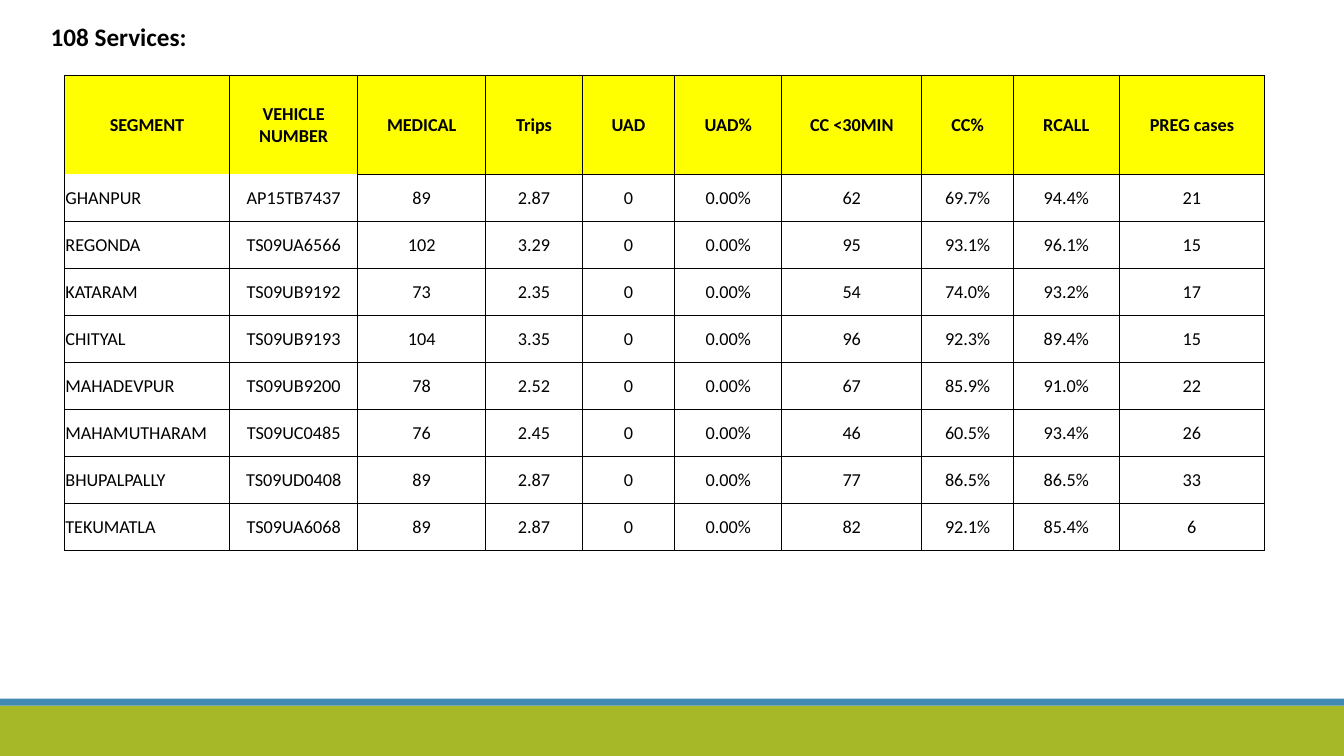
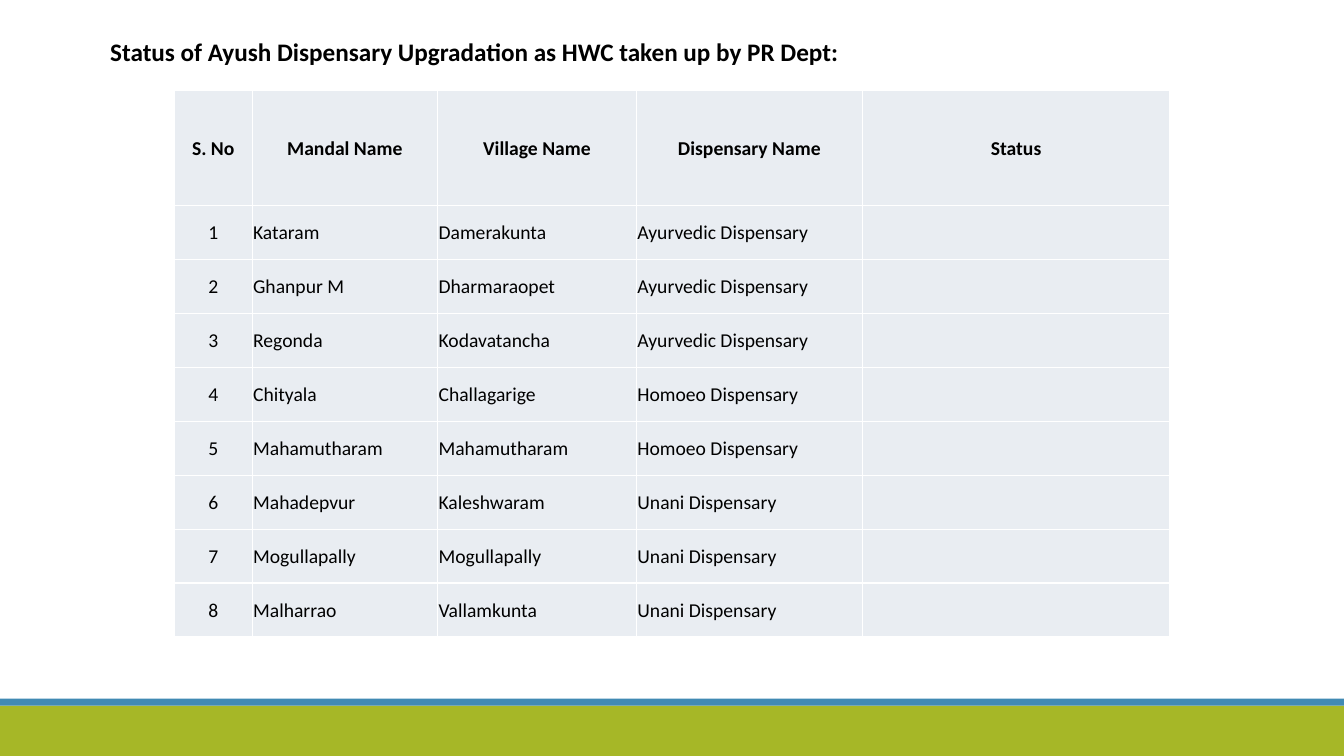
from dataclasses import dataclass

from lxml.etree import SubElement
from pptx import Presentation
from pptx.dml.color import RGBColor
from pptx.enum.shapes import MSO_SHAPE
from pptx.enum.text import MSO_ANCHOR, MSO_AUTO_SIZE, PP_ALIGN
from pptx.oxml.ns import qn
from pptx.util import Pt


@dataclass(frozen=True)
class Theme:
    font: str = "Calibri"
    ink: str = "000000"
    white: str = "FFFFFF"
    green: str = "A6B727"
    blue: str = "418AB3"
    yellow: str = "FFFF00"
    pale: str = "E9EDF2"
    title: float = 18
    width: float = 960
    height: float = 540


@dataclass(frozen=True)
class Look:
    """Format of one table; open_cols have no line below their heading."""
    size: float
    head: str
    body: str
    line: str
    weight: float
    left_cols: tuple
    open_cols: tuple = ()


THEME = Theme()
SERVICE_LOOK = Look(13, THEME.yellow, THEME.white, THEME.ink, 0.5, (0,), (0, 1))
STATUS_LOOK = Look(14, THEME.pale, THEME.pale, THEME.white, 1, (1, 2, 3))

SERVICES = [
    ("SEGMENT", "VEHICLE NUMBER", "MEDICAL", "Trips", "UAD", "UAD%",
     "CC <30MIN", "CC%", "RCALL", "PREG cases"),
    ("GHANPUR", "AP15TB7437", "89", "2.87", "0", "0.00%", "62", "69.7%", "94.4%", "21"),
    ("REGONDA", "TS09UA6566", "102", "3.29", "0", "0.00%", "95", "93.1%", "96.1%", "15"),
    ("KATARAM", "TS09UB9192", "73", "2.35", "0", "0.00%", "54", "74.0%", "93.2%", "17"),
    ("CHITYAL", "TS09UB9193", "104", "3.35", "0", "0.00%", "96", "92.3%", "89.4%", "15"),
    ("MAHADEVPUR", "TS09UB9200", "78", "2.52", "0", "0.00%", "67", "85.9%", "91.0%", "22"),
    ("MAHAMUTHARAM", "TS09UC0485", "76", "2.45", "0", "0.00%", "46", "60.5%", "93.4%", "26"),
    ("BHUPALPALLY", "TS09UD0408", "89", "2.87", "0", "0.00%", "77", "86.5%", "86.5%", "33"),
    ("TEKUMATLA", "TS09UA6068", "89", "2.87", "0", "0.00%", "82", "92.1%", "85.4%", "6"),
]
SITES = [
    ("Kataram", "Damerakunta", "Ayurvedic"),
    ("Ghanpur M", "Dharmaraopet", "Ayurvedic"),
    ("Regonda", "Kodavatancha", "Ayurvedic"),
    ("Chityala", "Challagarige", "Homoeo"),
    ("Mahamutharam", "Mahamutharam", "Homoeo"),
    ("Mahadepvur", "Kaleshwaram", "Unani"),
    ("Mogullapally", "Mogullapally", "Unani"),
    ("Malharrao", "Vallamkunta", "Unani"),
]
STATUS = [("S. No", "Mandal Name", "Village Name", "Dispensary Name", "Status")] + [
    (str(num), mandal, village, f"{kind} Dispensary", "")
    for num, (mandal, village, kind) in enumerate(SITES, 1)
]


def apply(item, values):
    for name, value in values.items():
        setattr(item, name, value)


def paint(fill, color):
    fill.solid()
    fill.fore_color.rgb = RGBColor.from_string(color)


def write(frame, text, size, bold, align):
    para = frame.paragraphs[0]
    para.alignment = align
    if text:
        run = para.add_run()
        run.text = text
        apply(run.font, {"name": THEME.font, "size": Pt(size), "bold": bold})
        run.font.color.rgb = RGBColor.from_string(THEME.ink)


def add_bands(slide):
    """Draw the foot bands and move them to the layout that slides share."""
    tree = slide.slide_layout.shapes.element
    for top, height, color in ((504, 36, THEME.green), (499, 5, THEME.blue)):
        band = slide.shapes.add_shape(
            MSO_SHAPE.RECTANGLE, 0, Pt(top), Pt(THEME.width), Pt(height))
        band.shadow.inherit = False
        paint(band.fill, color)
        band.line.fill.background()
        tree.append(band.element)


def set_title(slide, text, left, top, width, align):
    title = slide.shapes.title
    apply(title, {"left": Pt(left), "top": Pt(top),
                  "width": Pt(width), "height": Pt(29)})
    apply(title.text_frame, {"word_wrap": True, "auto_size": MSO_AUTO_SIZE.NONE,
                             "vertical_anchor": MSO_ANCHOR.TOP})
    write(title.text_frame, text, THEME.title, True, align)


def add_edge(cell, side, look, shown):
    line = SubElement(cell._tc.get_or_add_tcPr(), qn(f"a:ln{side}"),
                      w=str(Pt(look.weight)))
    if shown:
        fill = SubElement(line, qn("a:solidFill"))
        SubElement(fill, qn("a:srgbClr"), val=look.line)
    else:
        SubElement(line, qn("a:noFill"))


def fill_cell(cell, text, row, col, look):
    head = row == 0
    seam = {0: "B", 1: "T"}.get(row) if col in look.open_cols else None
    for side in "LRTB":
        add_edge(cell, side, look, side != seam)
    paint(cell.fill, look.head if head else look.body)
    apply(cell, {"margin_left": Pt(0.72), "margin_right": Pt(0.72),
                 "margin_top": Pt(0.72), "margin_bottom": 0,
                 "vertical_anchor": MSO_ANCHOR.MIDDLE})
    left = not head and col in look.left_cols
    write(cell.text_frame, text, look.size, head,
          PP_ALIGN.LEFT if left else PP_ALIGN.CENTER)


def add_grid(slide, data, left, top, widths, head, step, look):
    """Add a table with a heading row and equal rows of height step."""
    heights = [head] + [step] * (len(data) - 1)
    table = slide.shapes.add_table(
        len(data), len(widths), Pt(left), Pt(top),
        Pt(sum(widths)), Pt(sum(heights))).table
    apply(table, {"first_row": False, "horz_banding": False})
    for column, width in zip(table.columns, widths):
        column.width = Pt(width)
    for line, height in zip(table.rows, heights):
        line.height = Pt(height)
    for row, texts in enumerate(data):
        for col, text in enumerate(texts):
            fill_cell(table.cell(row, col), text, row, col, look)


def main():
    deck = Presentation()
    apply(deck, {"slide_width": Pt(THEME.width), "slide_height": Pt(THEME.height)})
    layout = deck.slide_layouts.get_by_name("Title Only")

    slide = deck.slides.add_slide(layout)
    add_bands(slide)
    set_title(slide, "108 Services:", 29, 11.5, 902, PP_ALIGN.LEFT)
    add_grid(slide, SERVICES, 46, 54,
             (118, 91.5, 91.5, 69, 66, 76.5, 100, 65.5, 75.5, 104),
             70.6, 33.6, SERVICE_LOOK)

    slide = deck.slides.add_slide(layout)
    set_title(slide, "Status of Ayush Dispensary Upgradation as HWC taken up by PR Dept:",
              51, 22.5, 576, PP_ALIGN.CENTER)
    add_grid(slide, STATUS, 124.6, 64.8, (55.5, 132.5, 142, 161.5, 219.5),
             82.2, 38.5, STATUS_LOOK)

    deck.save("out.pptx")


if __name__ == "__main__":
    main()
